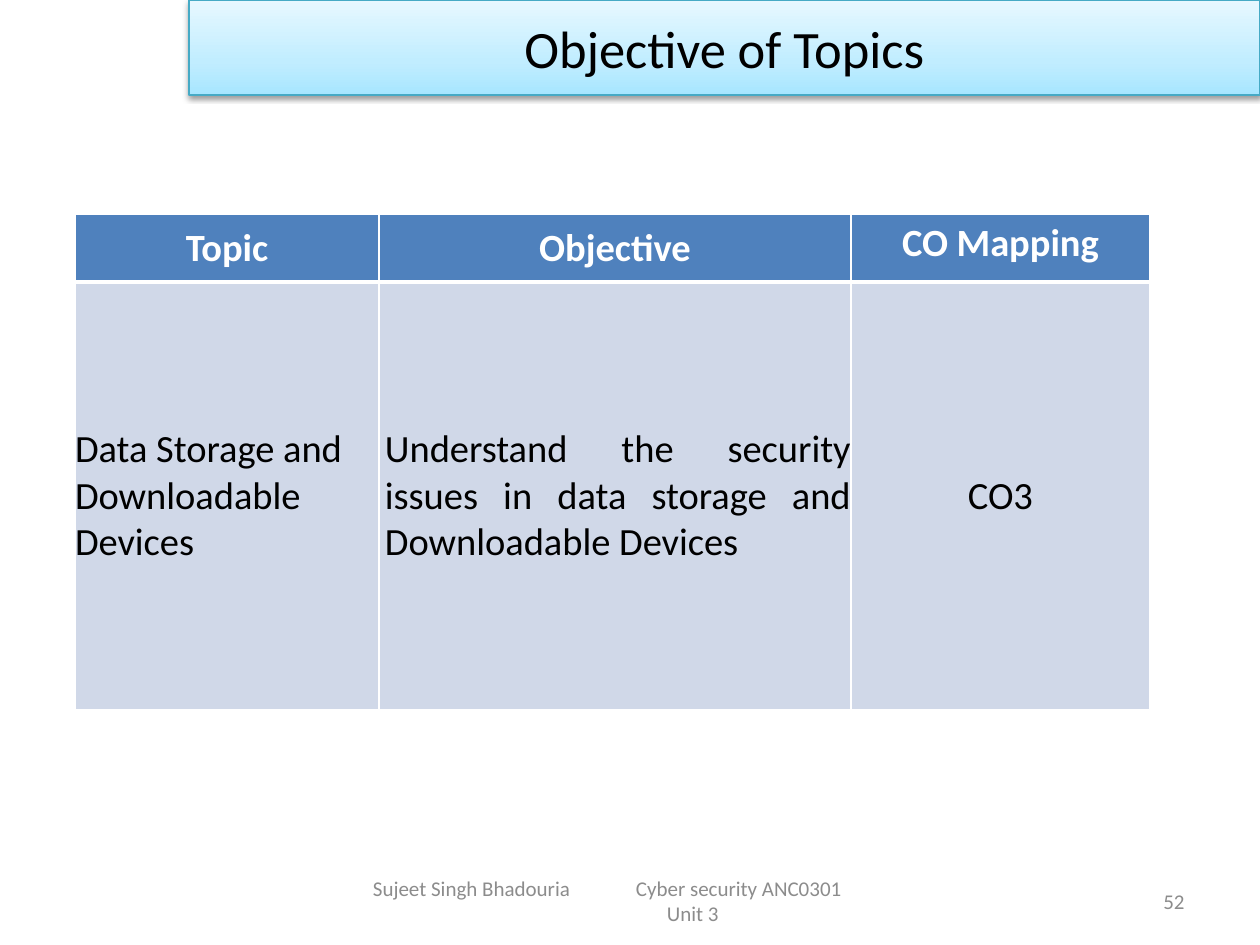
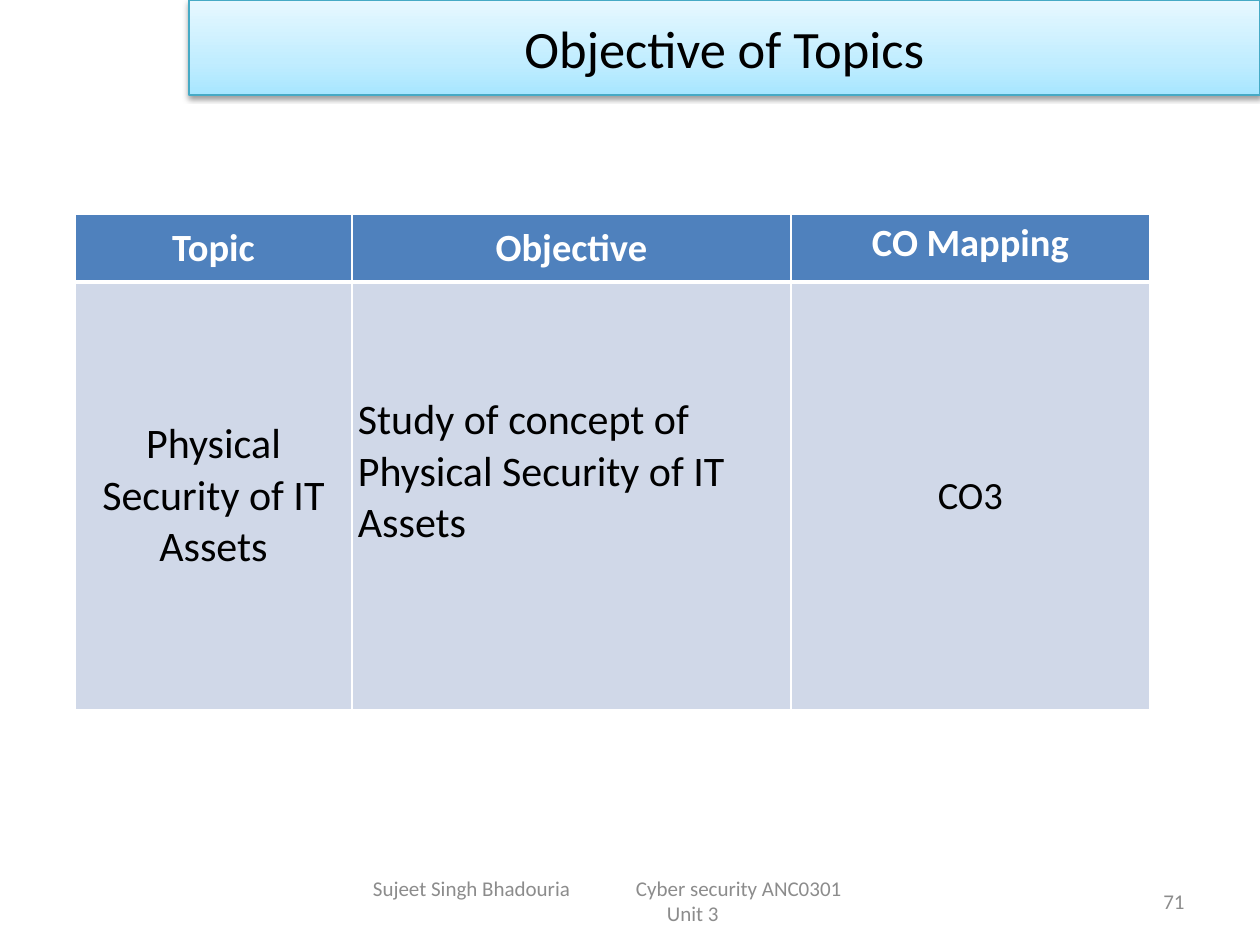
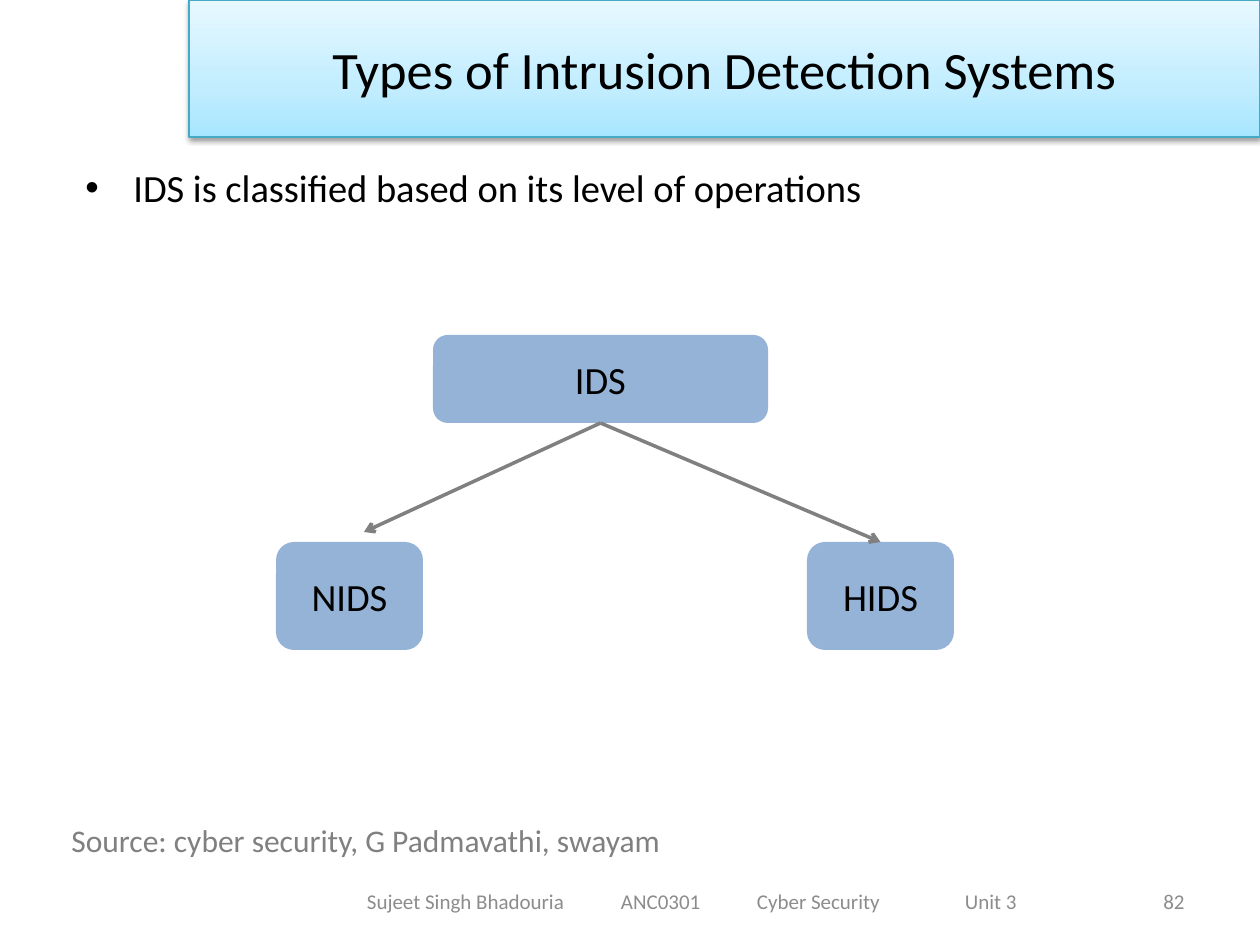
"""Build three cyber security lecture slides: two objective tables and the IDS types diagram."""
import pptx
import pptx.dml.color
import pptx.enum.shapes
import pptx.enum.text
import pptx.oxml
import pptx.oxml.ns
import pptx.util
from lxml import etree

RGB = pptx.dml.color.RGBColor
ALIGN = pptx.enum.text.PP_ALIGN
ANCHOR = pptx.enum.text.MSO_ANCHOR
SHAPE = pptx.enum.shapes.MSO_SHAPE
qn = pptx.oxml.ns.qn
NS = pptx.oxml.ns.nsdecls("a")

PX = 914400 / 126
FONT = "Calibri"
BLACK = RGB(0x00, 0x00, 0x00)
WHITE = RGB(0xFF, 0xFF, 0xFF)
FOOTER_GRAY = RGB(0x8C, 0x8C, 0x8C)
GRAY = RGB(0x80, 0x80, 0x80)
BANNER_LINE = RGB(0x46, 0xAA, 0xC5)
BANNER_STOPS = [
    (0, RGB(0xA7, 0xE6, 0xFF)),
    (35, RGB(0xC1, 0xED, 0xFF)),
    (100, RGB(0xE7, 0xF8, 0xFF)),
]
HEADER_BLUE = RGB(0x4F, 0x81, 0xBD)
BODY_BLUE = RGB(0xD0, 0xD8, 0xE8)
NODE_BLUE = RGB(0x95, 0xB3, 0xD7)


def px(*lengths):
    return [pptx.util.Emu(round(length * PX)) for length in lengths]


def write(frame, text, size, color, align, anchor=ANCHOR.MIDDLE, bold=False):
    frame.word_wrap = True
    frame.vertical_anchor = anchor
    paragraph = frame.paragraphs[0]
    if paragraph.runs:
        paragraph = frame.add_paragraph()
    paragraph.alignment = align
    run = paragraph.add_run()
    run.text = text
    run.font.name = FONT
    run.font.size = pptx.util.Pt(size)
    run.font.color.rgb = color
    run.font.bold = bold
    return paragraph


UNIT_FOOTER = [
    [(373, "Sujeet Singh Bhadouria"), (636, "Cyber security ANC0301")],
    [(667, "Unit 3")],
]
IDS_FOOTER = [
    [(367, "Sujeet Singh Bhadouria"), (621, "ANC0301"), (757, "Cyber Security"), (965, "Unit 3")],
]
PAGES = [
    ("Objective of Topics", 95, "52", UNIT_FOOTER),
    ("Objective of Topics", 95, "71", UNIT_FOOTER),
    ("Types of Intrusion Detection Systems", 137, "82", IDS_FOOTER),
]
FOOTER_LEFT = 346

prs = pptx.Presentation()
prs.slide_width, prs.slide_height = px(1260, 945)

slides = []
for title, banner_height, number, footer_lines in PAGES:
    slide = prs.slides.add_slide(prs.slide_layouts[6])
    slides.append(slide)

    banner = slide.shapes.add_shape(SHAPE.RECTANGLE, *px(189, 0, 1071, banner_height))
    stops = "".join(
        f'<a:gs pos="{pos * 1000}"><a:srgbClr val="{color}"/></a:gs>' for pos, color in BANNER_STOPS
    )
    properties = banner.element.spPr
    properties.find(qn("a:prstGeom")).addnext(pptx.oxml.parse_xml(
        f'<a:gradFill {NS} rotWithShape="1"><a:gsLst>{stops}</a:gsLst>'
        '<a:lin ang="16200000" scaled="0"/></a:gradFill>'
    ))
    banner.line.color.rgb = BANNER_LINE
    banner.line.width = pptx.util.Pt(0.75)
    properties.append(pptx.oxml.parse_xml(
        f'<a:effectLst {NS}><a:outerShdw blurRad="40000" dist="20000" dir="5400000" rotWithShape="0">'
        '<a:srgbClr val="000000"><a:alpha val="38000"/></a:srgbClr></a:outerShdw></a:effectLst>'
    ))
    write(banner.text_frame, title, 30, BLACK, ALIGN.CENTER)

    footer = slide.shapes.add_textbox(*px(FOOTER_LEFT, 876, 693, 50)).text_frame
    footer.margin_left = footer.margin_right = 0
    for parts in footer_lines:
        text = "".join("\t" + part for _, part in parts)
        line = write(footer, text, 12, FOOTER_GRAY, ALIGN.LEFT)
        tabs = etree.SubElement(line._p.get_or_add_pPr(), qn("a:tabLst"))
        for left, _ in parts:
            position = px(left - FOOTER_LEFT)[0]
            etree.SubElement(tabs, qn("a:tab"), pos=str(position), algn="l")

    page_number = slide.shapes.add_textbox(*px(903, 876, 294, 50))
    write(page_number.text_frame, number, 12, FOOTER_GRAY, ALIGN.RIGHT)

HEADINGS = ["Topic", "Objective", "CO Mapping"]
OBJECTIVES = [
    ([304, 472, 299], [
        ("Data Storage and Downloadable Devices", 22, ALIGN.LEFT, 0),
        ("Understand the security issues in data storage and Downloadable Devices", 22, ALIGN.JUSTIFY, 0),
        ("CO3", 22, ALIGN.CENTER, 0),
    ]),
    ([277, 439, 359], [
        ("Physical Security of IT Assets", 24, ALIGN.CENTER, 0),
        ("Study of concept of Physical Security of IT Assets", 24, ALIGN.LEFT, 48),
        ("CO3", 22, ALIGN.CENTER, 0),
    ]),
]
for slide, (widths, objective) in zip(slides, OBJECTIVES):
    table = slide.shapes.add_table(2, 3, *px(75, 214, sum(widths), 496)).table
    table.first_row = table.horz_banding = False
    for column, width in zip(table.columns, px(*widths)):
        column.width = width
    for row, height in zip(table.rows, px(68, 428)):
        row.height = height
    header = [(heading, 22, ALIGN.CENTER, 0) for heading in HEADINGS]
    for r, entries in enumerate([header, objective]):
        for c, (text, size, align, bottom) in enumerate(entries):
            cell = table.cell(r, c)
            is_header = r == 0
            anchor = ANCHOR.TOP if is_header and c == 2 else ANCHOR.MIDDLE
            color = WHITE if is_header else BLACK
            write(cell.text_frame, text, size, color, align, bold=is_header)
            cell.vertical_anchor = anchor
            if c < 2:
                inset = 6 if c == 1 and not is_header else 0
                cell.margin_left, cell.margin_bottom = px(inset, bottom)
                cell.margin_right = cell.margin_top = 0
            borders = cell._tc.get_or_add_tcPr()
            for side in "LRTB":
                heavy = side == ("B" if is_header else "T")
                borders.append(pptx.oxml.parse_xml(
                    f'<a:ln{side} {NS} w="{38100 if heavy else 12700}"><a:solidFill>'
                    f'<a:srgbClr val="{WHITE}"/></a:solidFill></a:ln{side}>'
                ))
            cell.fill.solid()
            cell.fill.fore_color.rgb = HEADER_BLUE if is_header else BODY_BLUE

ids_slide = slides[2]
classification = ids_slide.shapes.add_textbox(*px(73, 158, 1134, 624))
statement = write(
    classification.text_frame, "IDS is classified based on its level of operations",
    22, BLACK, ALIGN.JUSTIFY, ANCHOR.TOP,
)
bullet = statement._p.get_or_add_pPr()
bullet.set("marL", str(px(48)[0]))
bullet.set("indent", str(-px(48)[0]))
etree.SubElement(bullet, qn("a:buFont"), typeface="Arial")
etree.SubElement(bullet, qn("a:buChar"), char="•")
statement.space_after = pptx.util.Pt(12)

systems = {}
for name, left, top, width, height in [
    ("IDS", 433, 335, 335, 88),
    ("NIDS", 276, 542, 147, 108),
    ("HIDS", 807, 542, 147, 108),
]:
    system = ids_slide.shapes.add_shape(
        SHAPE.FLOWCHART_ALTERNATE_PROCESS, *px(left, top, width, height)
    )
    system.shadow.inherit = False
    system.fill.solid()
    system.fill.fore_color.rgb = NODE_BLUE
    system.line.fill.background()
    write(system.text_frame, name, 22, BLACK, ALIGN.CENTER)
    systems[name] = system

for name, end_x, end_y in [("NIDS", 364, 532), ("HIDS", 881, 542)]:
    branch = ids_slide.shapes.add_connector(
        pptx.enum.shapes.MSO_CONNECTOR.STRAIGHT, *px(601, 423, end_x, end_y)
    )
    branch.begin_connect(systems["IDS"], 2)
    if name == "HIDS":
        branch.end_connect(systems[name], 0)
    branch.line.color.rgb = GRAY
    branch.line.width = pptx.util.Pt(2)
    etree.SubElement(branch.line._get_or_add_ln(), qn("a:tailEnd"), type="arrow")
    etree.SubElement(branch.element.spPr, qn("a:effectLst"))

source = ids_slide.shapes.add_textbox(*px(59, 815, 621, 51)).text_frame
write(source, "Source: cyber security, G Padmavathi, swayam", 18, GRAY, ALIGN.LEFT, ANCHOR.TOP)
source.word_wrap = False

prs.save("out.pptx")
